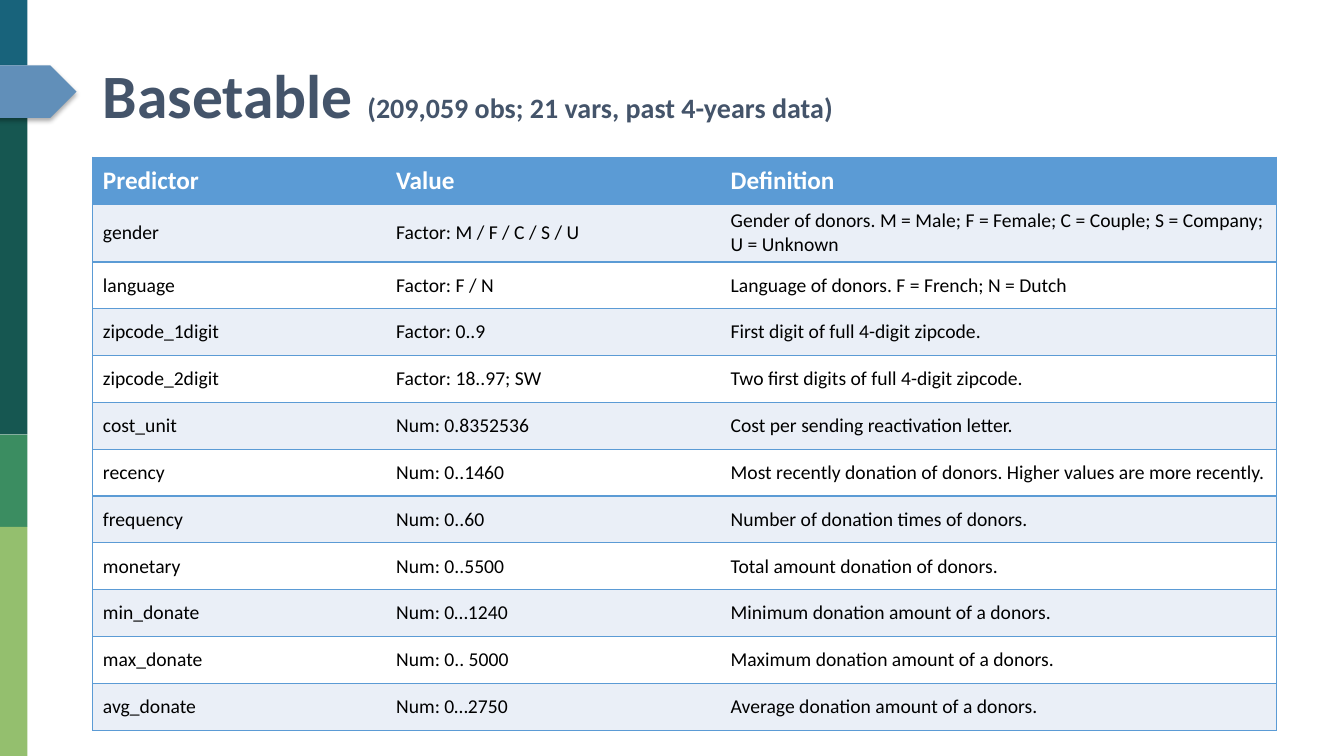
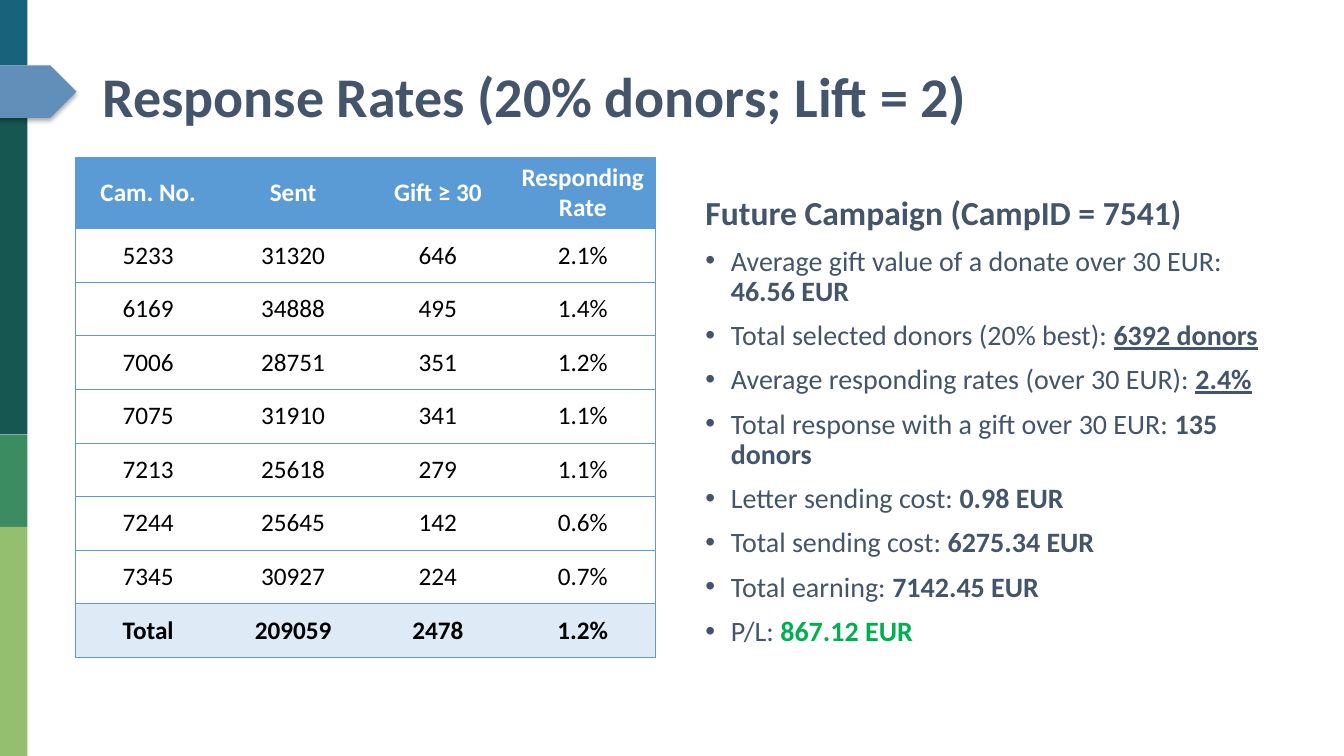
from lxml import etree
from pptx import Presentation
from pptx.dml.color import RGBColor
from pptx.enum import shapes, text
from pptx.oxml import ns
from pptx.util import Cm, Pt

FONT = "Calibri"
COLORS = {
    "ink": "44546A", "black": "000000", "white": "FFFFFF", "gain": "00B050",
    "header": "5B9BD5", "stripe": "EAEFF7", "total": "DEEBF7",
    "arrow": "618FB9", "teal": "18637B", "pine": "165751",
    "green": "3B8D61", "lime": "94BF6E",
}
SLIDE_W, SLIDE_H = 33.87, 19.05
BAND_W = 0.69
TABLE_TOP = 3.96
# Side bands: colour, top, bottom
BANDS = [("teal", 0, 1.65), ("pine", 2.97, 10.95),
         ("green", 10.95, 13.28), ("lime", 13.28, SLIDE_H)]

PREDICTORS = [
    ("Predictor", "Value", "Definition"),
    ("gender", "Factor: M / F / C / S / U",
     "Gender of donors. M = Male; F = Female; C = Couple; S = Company; U = Unknown"),
    ("language", "Factor: F / N", "Language of donors. F = French; N = Dutch"),
    ("zipcode_1digit", "Factor: 0..9", "First digit of full 4-digit zipcode."),
    ("zipcode_2digit", "Factor: 18..97; SW", "Two first digits of full 4-digit zipcode."),
    ("cost_unit", "Num: 0.8352536", "Cost per sending reactivation letter."),
    ("recency", "Num: 0..1460",
     "Most recently donation of donors. Higher values are more recently."),
    ("frequency", "Num: 0..60", "Number of donation times of donors."),
    ("monetary", "Num: 0..5500", "Total amount donation of donors."),
    ("min_donate", "Num: 0…1240", "Minimum donation amount of a donors."),
    ("max_donate", "Num: 0.. 5000", "Maximum donation amount of a donors."),
    ("avg_donate", "Num: 0…2750", "Average donation amount of a donors."),
]
CAMPAIGNS = [
    ("Cam. No.", "Sent", "Gift ≥ 30", "Responding\nRate"),
    ("5233", "31320", "646", "2.1%"),
    ("6169", "34888", "495", "1.4%"),
    ("7006", "28751", "351", "1.2%"),
    ("7075", "31910", "341", "1.1%"),
    ("7213", "25618", "279", "1.1%"),
    ("7244", "25645", "142", "0.6%"),
    ("7345", "30927", "224", "0.7%"),
    ("Total", "209059", "2478", "1.2%"),
]
# Label, value, value format
FORECAST = [
    ("Average gift value of a donate over 30 EUR: ", "46.56 EUR", {}),
    ("Total selected donors (20% best): ", "6392 donors", {"underline": True}),
    ("Average responding rates (over 30 EUR): ", "2.4%", {"underline": True}),
    ("Total response with a gift over 30 EUR: ", "135 donors", {}),
    ("Letter sending cost: ", "0.98 EUR", {}),
    ("Total sending cost: ", "6275.34 EUR", {}),
    ("Total earning: ", "7142.45 EUR", {}),
    ("P/L: ", "867.12 EUR", {"color": "gain"}),
]


def rgb(name):
    return RGBColor.from_string(COLORS[name])


def sub(parent, tag, **attrs):
    return etree.SubElement(parent, ns.qn(tag), attrs)


def add_run(p, words, size, color="ink", bold=False, underline=None):
    r = p.add_run()
    r.text = words
    r.font.name, r.font.size = FONT, Pt(size)
    r.font.bold, r.font.underline = bold, underline
    r.font.color.rgb = rgb(color)


def add_box(s, left, top, width, height, anchor):
    tf = s.shapes.add_textbox(Cm(left), Cm(top), Cm(width), Cm(height)).text_frame
    tf.word_wrap = True
    tf.vertical_anchor = anchor
    tf.paragraphs[0].line_spacing = 0.9
    return tf


# Side decoration and title
def add_block(s, kind, left, top, width, height, color):
    sp = s.shapes.add_shape(kind, Cm(left), Cm(top), Cm(width), Cm(height))
    sp.shadow.inherit = False
    sp.fill.solid()
    sp.fill.fore_color.rgb = rgb(color)
    sp.line.fill.background()
    return sp


def add_side(s):
    for color, top, bottom in BANDS:
        add_block(s, shapes.MSO_SHAPE.RECTANGLE, 0, top, BAND_W, bottom - top, color)
    arrow = add_block(s, shapes.MSO_SHAPE.PENTAGON, -1.65, 1.65, 3.58, 1.32, "arrow")
    effects = arrow._element.spPr.find(ns.qn("a:effectLst"))
    shadow = sub(effects, "a:outerShdw", blurRad=str(Pt(3.5)), dist=str(Pt(2.2)),
                 dir="5400000", rotWithShape="0")
    sub(sub(shadow, "a:srgbClr", val=COLORS["black"]), "a:alpha", val="32000")


def add_slide(prs, *title_runs):
    s = prs.slides.add_slide(prs.slide_layouts[6])
    add_side(s)
    tf = add_box(s, 2.34, 1.02, 29.21, 2.95, text.MSO_ANCHOR.MIDDLE)
    for words, size in title_runs:
        add_run(tf.paragraphs[0], words, size, bold=True)
    return s


# Tables
def set_borders(cell, width, first, last):
    tcPr = cell._tc.get_or_add_tcPr()
    for side, shown in (("L", first), ("R", last), ("T", True), ("B", True)):
        ln = sub(tcPr, "a:ln" + side, w=str(Pt(width)))
        if shown:
            sub(sub(ln, "a:solidFill"), "a:srgbClr", val=COLORS["header"])
        else:
            sub(ln, "a:noFill")


def fill_cell(cell, words, fill, align, **style):
    cell.fill.solid()
    cell.fill.fore_color.rgb = rgb(fill)
    cell.vertical_anchor = text.MSO_ANCHOR.MIDDLE
    tf = cell.text_frame
    for i, line in enumerate(words.split("\n")):
        p = tf.add_paragraph() if i else tf.paragraphs[0]
        p.alignment = align
        add_run(p, line, **style)


def add_grid(s, rows, left, widths, heights, fills, size, border,
             align=text.PP_ALIGN.LEFT, total=False):
    frame = s.shapes.add_table(len(rows), len(widths), Cm(left), Cm(TABLE_TOP),
                               Cm(sum(widths)), Cm(sum(heights)))
    table = frame.table
    table.horz_banding = False
    for column, width in zip(table.columns, widths):
        column.width = Cm(width)
    last_row, last_col = len(rows) - 1, len(widths) - 1
    for i, row in enumerate(rows):
        table.rows[i].height = Cm(heights[i])
        header = i == 0
        for j, words in enumerate(row):
            cell = table.cell(i, j)
            set_borders(cell, border, j == 0, j == last_col)
            fill_cell(cell, words, fills[i], align,
                      size=18 if header else size,
                      color="white" if header else "black",
                      bold=header or (total and i == last_row))


# Bulleted list
def add_bullet(tf, label, value, style):
    p = tf.add_paragraph()
    pPr = p._p.get_or_add_pPr()
    pPr.set("marL", str(Cm(0.64)))
    pPr.set("indent", str(Cm(-0.64)))
    sub(pPr, "a:buFont", typeface="Arial")
    sub(pPr, "a:buChar", char="•")
    p.line_spacing = 0.9
    p.space_before = Pt(10)
    add_run(p, label, 20)
    add_run(p, value, 20, bold=True, **style)


def build_basetable(prs):
    s = add_slide(prs, ("Basetable ", 44),
                  ("(209,059 obs; 21 vars, past 4-years data)", 20))
    body = len(PREDICTORS) - 1
    fills = ["header"] + [("stripe", "white")[i % 2] for i in range(body)]
    heights = [1.18, 1.46] + [1.18] * (body - 1)
    add_grid(s, PREDICTORS, 2.34, [7.39, 8.43, 14], heights, fills, 14, 1)


def build_response_rates(prs):
    s = add_slide(prs, ("Response Rates (20% donors; Lift = 2)", 40))
    body = len(CAMPAIGNS) - 1
    fills = ["header"] + ["white"] * (body - 1) + ["total"]
    add_grid(s, CAMPAIGNS, 1.91, [3.65] * 4, [1.8] + [1.35] * body, fills, 18, 0.5,
             text.PP_ALIGN.CENTER, total=True)
    tf = add_box(s, 17.53, 4.83, 15.16, 11.73, text.MSO_ANCHOR.TOP)
    add_run(tf.paragraphs[0], "Future Campaign (CampID = 7541)", 24, bold=True)
    for label, value, style in FORECAST:
        add_bullet(tf, label, value, style)


def main():
    prs = Presentation()
    prs.slide_width, prs.slide_height = Cm(SLIDE_W), Cm(SLIDE_H)
    build_basetable(prs)
    build_response_rates(prs)
    prs.save("out.pptx")


if __name__ == "__main__":
    main()
